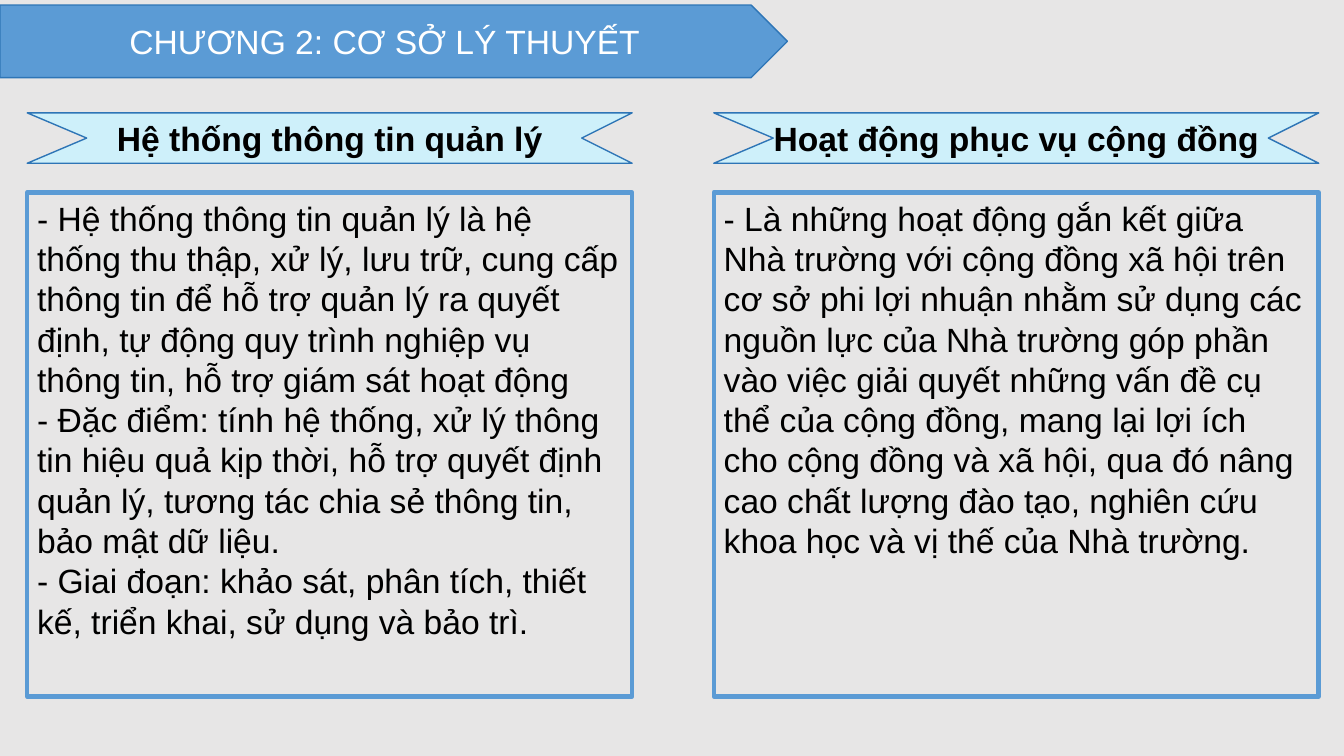
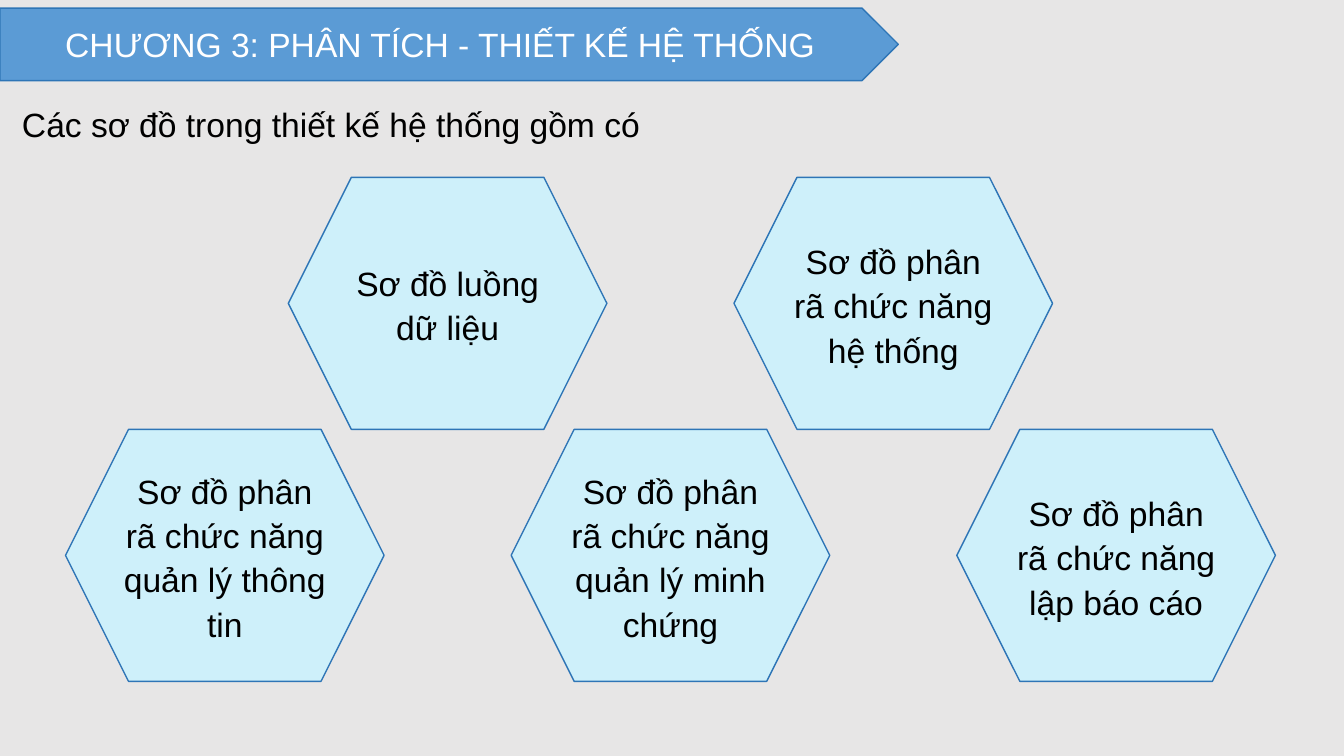
from pptx import Presentation
from pptx.dml.color import RGBColor
from pptx.enum.shapes import MSO_SHAPE
from pptx.enum.text import MSO_ANCHOR, PP_ALIGN
from pptx.util import Inches, Pt

PENTAGON, HEXAGON, RECTANGLE = MSO_SHAPE.PENTAGON, MSO_SHAPE.HEXAGON, MSO_SHAPE.RECTANGLE
TOP, MIDDLE = MSO_ANCHOR.TOP, MSO_ANCHOR.MIDDLE
LEFT, CENTER = PP_ALIGN.LEFT, PP_ALIGN.CENTER

GRAY = RGBColor(0xE7, 0xE6, 0xE6)
BLUE = RGBColor(0x5B, 0x9B, 0xD5)
DARK_BLUE = RGBColor(0x2E, 0x75, 0xB6)
PALE_BLUE = RGBColor(0xCE, 0xF0, 0xFA)
WHITE = RGBColor(0xFF, 0xFF, 0xFF)
BLACK = RGBColor(0, 0, 0)
FONT, SIZE = "Arial", Pt(24)

THEORY_TITLE = "CHƯƠNG 2: CƠ SỞ LÝ THUYẾT"
THEORY_COLUMNS = [
    ("Hệ thống thông tin quản lý", [
        "- Hệ thống thông tin quản lý là hệ thống thu thập, xử lý, lưu trữ, cung cấp "
        "thông tin để hỗ trợ quản lý ra quyết định, tự động quy trình nghiệp vụ "
        "thông tin, hỗ trợ giám sát hoạt động",
        "- Đặc điểm: tính hệ thống, xử lý thông tin hiệu quả kịp thời, hỗ trợ quyết định "
        "quản lý, tương tác chia sẻ thông tin, bảo mật dữ liệu.",
        "- Giai đoạn: khảo sát, phân tích, thiết kế, triển khai, sử dụng và bảo trì.",
    ]),
    ("Hoạt động phục vụ cộng đồng", [
        "- Là những hoạt động gắn kết giữa Nhà trường với cộng đồng xã hội trên cơ sở "
        "phi lợi nhuận nhằm sử dụng các nguồn lực của Nhà trường góp phần vào việc "
        "giải quyết những vấn đề cụ thể của cộng đồng, mang lại lợi ích cho cộng đồng "
        "và xã hội, qua đó nâng cao chất lượng đào tạo, nghiên cứu khoa học và vị thế "
        "của Nhà trường.",
    ]),
]
DESIGN_TITLE = "CHƯƠNG 3: PHÂN TÍCH - THIẾT KẾ HỆ THỐNG"
DESIGN_INTRO = "Các sơ đồ trong thiết kế hệ thống gồm có"
DIAGRAM_ROWS = [
    ["Sơ đồ luồng dữ liệu", "Sơ đồ phân rã chức năng hệ thống"],
    ["Sơ đồ phân rã chức năng quản lý thông tin",
     "Sơ đồ phân rã chức năng quản lý minh chứng",
     "Sơ đồ phân rã chức năng lập báo cáo"],
]


def write(sp, paragraphs, color=BLACK, align=CENTER, anchor=MIDDLE, bold=False, spacing=None):
    tf = sp.text_frame
    tf.word_wrap = True
    tf.vertical_anchor = anchor
    for i, text in enumerate(paragraphs):
        p = tf.paragraphs[0] if i == 0 else tf.add_paragraph()
        p.alignment = align
        p.line_spacing = spacing
        r = p.add_run()
        r.text = text
        r.font.name, r.font.size, r.font.bold = FONT, SIZE, bold
        r.font.color.rgb = color


def paint(sp, fill, line=DARK_BLUE, width=1):
    sp.shadow.inherit = False
    if fill is None:
        sp.fill.background()
    else:
        sp.fill.solid()
        sp.fill.fore_color.rgb = fill
    sp.line.color.rgb = line
    sp.line.width = Pt(width)


def add_box(s, kind, left, top, width, height):
    return s.shapes.add_shape(kind, Inches(left), Inches(top), Inches(width), Inches(height))


def add_ribbon(s, left, top, width, height, text):
    right, middle, bottom = left + width, top + height / 2, top + height
    outline = [(left, top), (right, top), (right - 0.5, middle),
               (right, bottom), (left, bottom), (left + 0.59, middle)]
    points = [(Inches(x), Inches(y)) for x, y in outline]
    builder = s.shapes.build_freeform(*points[0])
    builder.add_line_segments(points[1:], close=True)
    sp = builder.convert_to_shape()
    paint(sp, PALE_BLUE)
    write(sp, [text], bold=True)


def add_chapter_slide(prs, title, top, width):
    s = prs.slides.add_slide(prs.slide_layouts[6])
    s.background.fill.solid()
    s.background.fill.fore_color.rgb = GRAY
    sp = add_box(s, PENTAGON, 0, top, width, 0.72)
    paint(sp, BLUE)
    write(sp, [title], WHITE)
    return s


def build_theory(prs):
    s = add_chapter_slide(prs, THEORY_TITLE, 0.05, 7.81)
    width, pitch = 6, 6.81
    for i, (heading, paragraphs) in enumerate(THEORY_COLUMNS):
        left = 0.27 + i * pitch
        add_ribbon(s, left, 1.12, width, 0.5, heading)
        sp = add_box(s, RECTANGLE, left, 1.91, width, 5)
        paint(sp, None, BLUE, 3.25)
        write(sp, paragraphs, align=LEFT, anchor=TOP)


def build_design(prs):
    s = add_chapter_slide(prs, DESIGN_TITLE, 0.08, 8.91)
    intro = s.shapes.add_textbox(Inches(0.12), Inches(0.98), Inches(7.17), Inches(0.61))
    write(intro, [DESIGN_INTRO], align=LEFT, anchor=TOP)
    width, height, pitch, center = 3.16, 2.5, 4.42, 6.65
    for row, labels in enumerate(DIAGRAM_ROWS):
        first = center - width / 2 - pitch * (len(labels) - 1) / 2
        for col, label in enumerate(labels):
            sp = add_box(s, HEXAGON, first + col * pitch, 1.76 + row * height, width, height)
            paint(sp, PALE_BLUE)
            write(sp, [label], spacing=1.1)


def main():
    """Build the two chapter slides and save the deck."""
    prs = Presentation()
    prs.slide_width, prs.slide_height = Inches(13.33), Inches(7.5)
    build_theory(prs)
    build_design(prs)
    prs.save("out.pptx")


if __name__ == "__main__":
    main()
